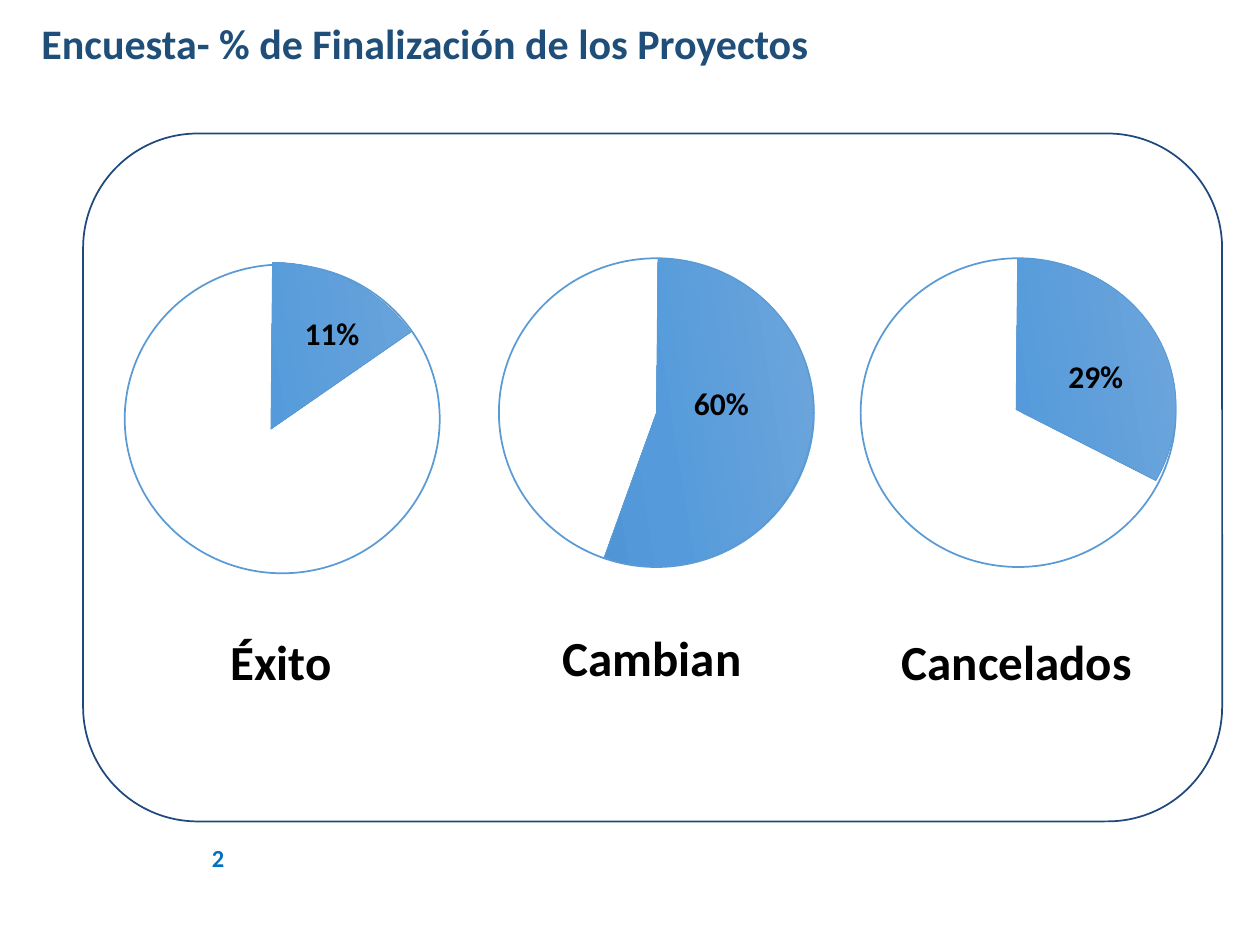
from dataclasses import dataclass

from lxml import etree
from pptx import Presentation
from pptx import util as u
from pptx.dml.color import RGBColor
from pptx.enum import shapes, text
from pptx.oxml import ns

Pt = u.Pt


@dataclass(frozen=True)
class Theme:
    font: str = "Calibri"
    title: str = "1F4E79"
    number: str = "0070C0"
    ink: str = "000000"
    paper: str = "FFFFFF"
    frame: str = "1F497D"
    pie: str = "5B9BD5"
    gradient: tuple = ((0, "71A6DB"), (50, "559BDB"), (100, "448ACA"))
    title_size: int = 24
    name_size: int = 28
    percent_size: int = 18
    number_size: int = 14


THEME = Theme()
CIRCLE_SIZE = (180, 176.4)
WEDGE_ROTATION = 81.1
WEDGE_START = 189.44  # points straight up once the wedge is rotated

# Boxes are (left, top, width, height); wedge_end is in degrees before rotation
RESULTS = [
    dict(name="Éxito", name_box=(124.6, 357.1, 72.7, 41),
         circle=(71.3, 151.2), wedge=(59.8, 147.6, 190.1, 195.1),
         wedge_end=244.18, percent="11%", percent_at=(167, 175.7)),
    dict(name="Cambian", name_box=(314.6, 355, 118.1, 41),
         circle=(285.1, 147.6), wedge=(287.3, 146.2, 175.7, 179.3),
         wedge_end=28.76, percent="60%", percent_at=(389.5, 216)),
    dict(name="Cancelados", name_box=(508.3, 357.1, 147.6, 41),
         circle=(491.8, 147.6), wedge=(494.6, 142.6, 172.1, 182.9),
         wedge_end=305.83, percent="29%", percent_at=(603.4, 200.2)),
]


def add_outline(parent, preset, box, line_color, line_width=1):
    """White preset shape with a thin outline."""
    shape = parent.add_shape(preset, *map(Pt, box))
    shape.shadow.inherit = False
    shape.fill.solid()
    shape.fill.fore_color.rgb = RGBColor.from_string(THEME.paper)
    shape.line.color.rgb = RGBColor.from_string(line_color)
    shape.line.width = Pt(line_width)
    return shape


def set_gradient(shape):
    """Replace the fill with the three-stop gradient of the wedges."""
    shape.fill.gradient()
    gradient = shape._element.spPr.find(ns.qn("a:gradFill"))
    for child in list(gradient):
        gradient.remove(child)
    gradient.set("rotWithShape", "1")
    stops = etree.SubElement(gradient, ns.qn("a:gsLst"))
    for position, color in THEME.gradient:
        stop = etree.SubElement(stops, ns.qn("a:gs"), pos=str(position * 1000))
        etree.SubElement(stop, ns.qn("a:srgbClr"), val=color)
    etree.SubElement(gradient, ns.qn("a:lin"), ang="5400000", scaled="0")


def add_wedge(parent, box, end):
    wedge = add_outline(parent, shapes.MSO_SHAPE.PIE, box, THEME.pie, 0.5)
    wedge.rotation = WEDGE_ROTATION
    # One adjustment unit is 100000/60000 of a degree
    wedge.adjustments[0] = WEDGE_START * 0.6
    wedge.adjustments[1] = end * 0.6
    set_gradient(wedge)


def add_text(parent, content, box, size, color, wrap=False,
             anchor=text.MSO_ANCHOR.TOP, align=text.PP_ALIGN.LEFT, spacing=None):
    shape = parent.add_textbox(*map(Pt, box))
    frame = shape.text_frame
    frame.word_wrap = wrap
    frame.auto_size = (text.MSO_AUTO_SIZE.NONE if wrap
                       else text.MSO_AUTO_SIZE.SHAPE_TO_FIT_TEXT)
    frame.vertical_anchor = anchor
    paragraph = frame.paragraphs[0]
    paragraph.alignment = align
    if spacing:
        paragraph.line_spacing = spacing
    run = paragraph.add_run()
    run.text = content
    run.font.name = THEME.font
    run.font.size = Pt(size)
    run.font.bold = True
    run.font.color.rgb = RGBColor.from_string(color)


def add_result(slide, result):
    """Circle, category name, and a group of wedge and percentage."""
    add_outline(slide.shapes, shapes.MSO_SHAPE.OVAL,
                result["circle"] + CIRCLE_SIZE, THEME.pie)
    add_text(slide.shapes, result["name"], result["name_box"],
             THEME.name_size, THEME.ink)
    group = slide.shapes.add_group_shape()
    add_wedge(group.shapes, result["wedge"], result["wedge_end"])
    add_text(group.shapes, result["percent"], result["percent_at"] + (46.1, 28.8),
             THEME.percent_size, THEME.ink)


def main():
    presentation = Presentation()
    presentation.slide_width, presentation.slide_height = Pt(720), Pt(540)
    slide = presentation.slides.add_slide(presentation.slide_layouts[6])

    # Slide number
    add_text(slide.shapes, "2", (16.6, 475.9, 216, 28.8), THEME.number_size,
             THEME.number, wrap=True, anchor=text.MSO_ANCHOR.MIDDLE,
             align=text.PP_ALIGN.CENTER)

    # Frame and survey results
    add_outline(slide.shapes, shapes.MSO_SHAPE.ROUNDED_RECTANGLE,
                (47.5, 76.3, 650.9, 393.1), THEME.frame)
    for result in RESULTS:
        add_result(slide, result)

    # Title
    add_text(slide.shapes, "Encuesta- % de Finalización de los Proyectos",
             (16.6, -5, 601.2, 47.5), THEME.title_size, THEME.title, wrap=True,
             anchor=text.MSO_ANCHOR.BOTTOM, spacing=0.9)

    presentation.save("out.pptx")


if __name__ == "__main__":
    main()
